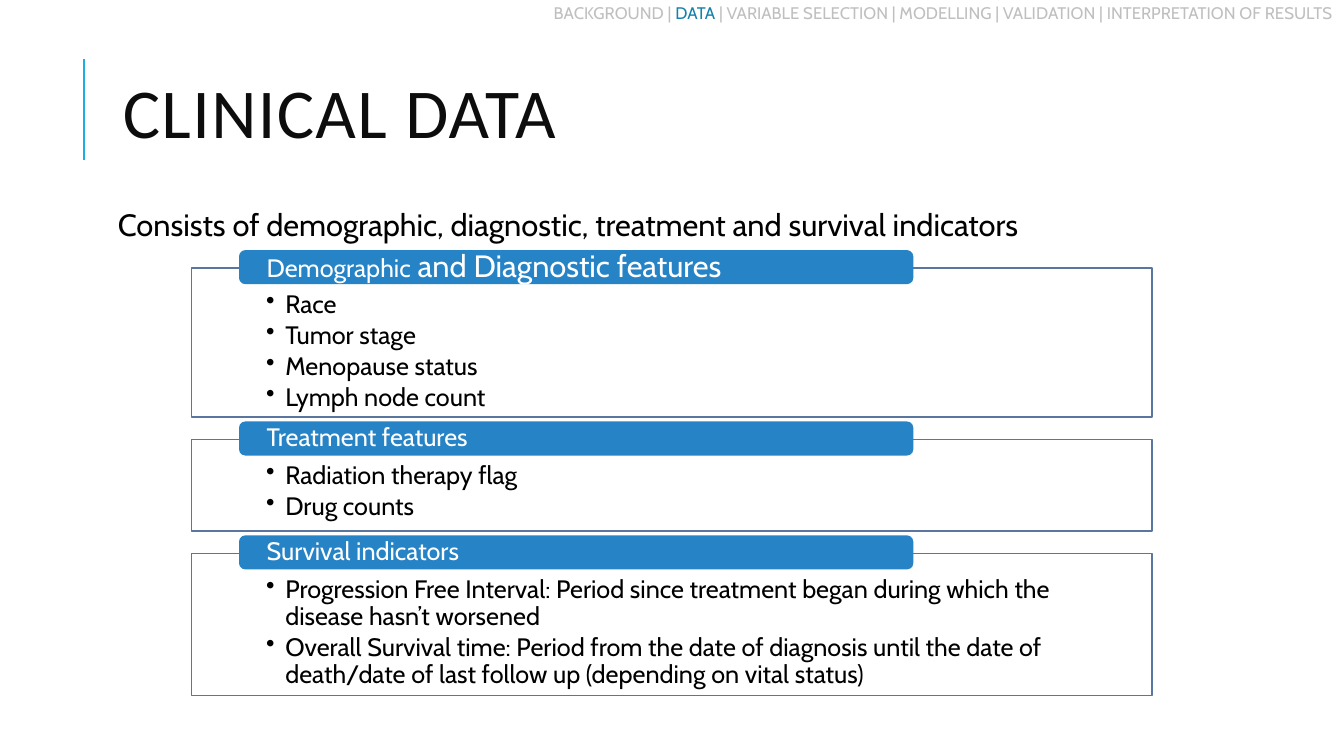
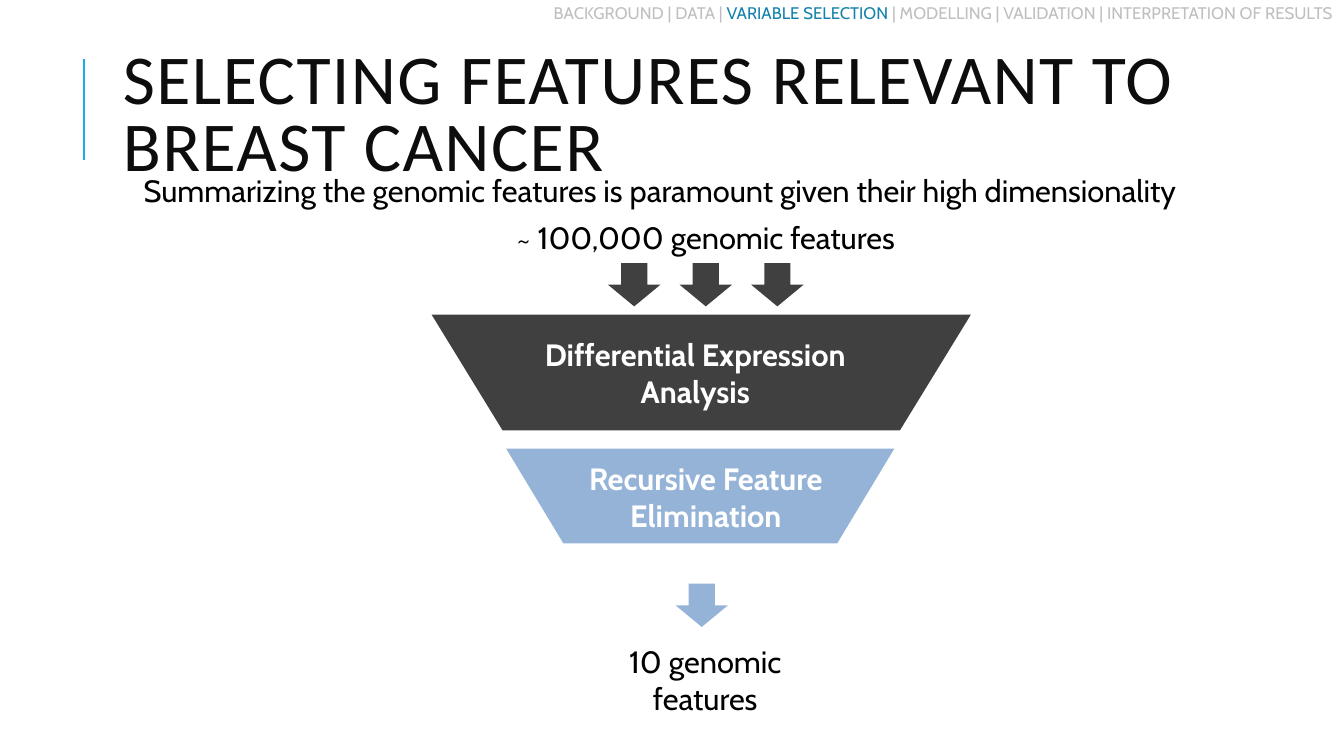
from dataclasses import dataclass

from lxml.etree import SubElement
from pptx import Presentation
from pptx.dml.color import RGBColor
from pptx.enum.shapes import MSO_CONNECTOR, MSO_SHAPE as Shape
from pptx.enum.text import MSO_ANCHOR as Anchor, PP_ALIGN as Align
from pptx.oxml.ns import qn
from pptx.util import Pt

PX = 9144  # 100 px to the inch


@dataclass(frozen=True)
class Theme:
    heading_font: str = "Calibri"
    body_font: str = "Cabin"
    title: str = "0D0D0D"
    text: str = "000000"
    white: str = "FFFFFF"
    accent: str = "1CADE4"
    muted: str = "BFBFBF"
    active: str = "1482AC"
    tab: str = "2683C6"
    frame: str = "5A769E"
    dark: str = "404040"
    light: str = "95B3D7"
    title_size: int = 50
    lead_size: int = 22
    body_size: int = 18
    nav_size: int = 12


THEME = Theme()

SECTIONS = ["BACKGROUND", "DATA", "VARIABLE SELECTION", "MODELLING",
            "VALIDATION", "INTERPRETATION OF RESULTS"]

CLINICAL = {
    "title": "CLINICAL DATA",
    "section": "DATA",
    "lead": "Consists of demographic, diagnostic, treatment and survival indicators",
}
# Heading runs (text, size), height of the frame, bullets
FEATURE_GROUPS = [
    ([("Demographic", THEME.body_size), (" and Diagnostic features", THEME.lead_size)], 148,
     ["Race", "Tumor stage", "Menopause status", "Lymph node count"]),
    ([("Treatment features", THEME.body_size)], 91,
     ["Radiation therapy flag", "Drug counts"]),
    ([("Survival indicators", THEME.body_size)], 141,
     ["Progression Free Interval: Period since treatment began during which the "
      "disease hasn’t worsened",
      "Overall Survival time: Period from the date of diagnosis until the date of "
      "death/date of last follow up (depending on vital status)"]),
]

SELECTION = {
    "title": "SELECTING FEATURES RELEVANT TO BREAST CANCER",
    "section": "VARIABLE SELECTION",
    "lead": "Summarizing the genomic features is paramount given their high dimensionality",
}
# Box, slant, colour
FUNNEL = [((428, 312, 535, 115), 0.613, THEME.dark),
          ((502, 445, 385, 94), 0.603, THEME.light)]
# Text, box, colour, bold
FUNNEL_LABELS = [
    ("Differential Expression Analysis", (474, 328, 431, 84), THEME.white, True),
    ("Recursive Feature Elimination", (554, 451, 292, 84), THEME.white, True),
    ("~ 100,000 genomic features", (476, 212, 448, 47), THEME.text, False),
    ("10 genomic features", (561, 633, 277, 84), THEME.text, False),
]
ARROW_SIZE = (52, 43)
ARROWS = [(603 + 71 * i, 261, THEME.dark) for i in range(3)] + [(670, 579, THEME.light)]


def emu(*lengths):
    return [length * PX for length in lengths]


def write(shape, paragraphs, *, size=THEME.lead_size, color=THEME.text, font=THEME.body_font,
          bold=False, align=Align.LEFT, anchor=Anchor.TOP, margins=(10, 5, 10, 5),
          line_spacing=None, space_after=None, tracking=None, bullet_indent=None):
    """Fill a shape with paragraphs: strings, or lists of (text, run overrides)."""
    frame = shape.text_frame
    frame.word_wrap = True
    frame.vertical_anchor = anchor
    (frame.margin_left, frame.margin_top,
     frame.margin_right, frame.margin_bottom) = emu(*margins)
    for index, runs in enumerate(paragraphs):
        paragraph = frame.add_paragraph() if index else frame.paragraphs[0]
        paragraph.alignment = align
        paragraph.line_spacing = line_spacing
        if space_after is not None:
            paragraph.space_after = Pt(space_after)
        if bullet_indent:
            properties = paragraph._p.get_or_add_pPr()
            properties.set("marL", str(bullet_indent * PX))
            properties.set("indent", str(-bullet_indent * PX))
            SubElement(properties, qn("a:buChar"), char="•")
        for text, override in [(runs, {})] if isinstance(runs, str) else runs:
            run = paragraph.add_run()
            run.text = text
            run.font.name = font
            run.font.size = Pt(override.get("size", size))
            run.font.bold = bold
            run.font.color.rgb = RGBColor.from_string(override.get("color", color))
            if tracking:
                run._r.get_or_add_rPr().set("spc", str(tracking * 100))


def add_text(slide, box, paragraphs, **style):
    write(slide.shapes.add_textbox(*emu(*box)), paragraphs, **style)


def add_block(slide, kind, box, fill, line=None):
    shape = slide.shapes.add_shape(kind, *emu(*box))
    shape.shadow.inherit = False
    shape.fill.solid()
    shape.fill.fore_color.rgb = RGBColor.from_string(fill)
    if line:
        shape.line.color.rgb = RGBColor.from_string(line)
        shape.line.width = Pt(1.25)
    else:
        shape.line.fill.background()
    return shape


def add_base_slide(presentation, content, title_width, lead_box, lead_align):
    """Add a slide with the accent rule, title, lead sentence and section trail."""
    slide = presentation.slides.add_slide(presentation.slide_layouts[6])
    rule = slide.shapes.add_connector(MSO_CONNECTOR.STRAIGHT, *emu(83, 159, 83, 59))
    rule.line.color.rgb = RGBColor.from_string(THEME.accent)
    rule.line.width = Pt(1.5)
    SubElement(rule._element.spPr, qn("a:effectLst"))
    add_text(slide, (112, 35, title_width, 164), [content["title"]], size=THEME.title_size,
             color=THEME.title, font=THEME.heading_font, anchor=Anchor.MIDDLE,
             line_spacing=0.8, tracking=1)
    add_text(slide, lead_box, [content["lead"]], align=lead_align, margins=(5, 5, 5, 5),
             line_spacing=0.9)
    trail = []
    for section in SECTIONS:
        if trail:
            trail.append((" | ", {}))
        active = section == content["section"]
        trail.append((section, {"color": THEME.active} if active else {}))
    add_text(slide, (537, 1, 795, 24), [trail], size=THEME.nav_size, color=THEME.muted,
             align=Align.RIGHT, anchor=Anchor.MIDDLE)
    return slide


def build_clinical(presentation):
    slide = add_base_slide(presentation, CLINICAL, 1063, (112, 203, 1109, 71), Align.JUSTIFY)
    top, gap = 266, 22
    for heading, height, bullets in FEATURE_GROUPS:
        frame = add_block(slide, Shape.RECTANGLE, (190, top, 953, height),
                          THEME.white, THEME.frame)
        write(frame, bullets, size=THEME.body_size, margins=(74, 23, 74, 14),
              line_spacing=0.9, space_after=2.7, bullet_indent=19)
        tab = add_block(slide, Shape.ROUNDED_RECTANGLE, (238, top - 17, 667, 32),
                        THEME.tab, THEME.tab)
        write(tab, [[(text, {"size": size}) for text, size in heading]], color=THEME.white,
              anchor=Anchor.MIDDLE, margins=(25, 0, 25, 0), line_spacing=0.9)
        top += height + gap


def build_selection(presentation):
    slide = add_base_slide(presentation, SELECTION, 1132, (40, 170, 1229, 107), Align.CENTER)
    for box, slant, color in FUNNEL:
        stage = add_block(slide, Shape.TRAPEZOID, box, color)
        stage.rotation = 180
        stage.adjustments[0] = slant
    for text, box, color, bold in FUNNEL_LABELS:
        add_text(slide, box, [text], color=color, bold=bold, align=Align.CENTER)
    for left, top, color in ARROWS:
        add_block(slide, Shape.DOWN_ARROW, (left, top, *ARROW_SIZE), color)


def main():
    presentation = Presentation()
    presentation.slide_width, presentation.slide_height = emu(1333, 750)
    build_clinical(presentation)
    build_selection(presentation)
    presentation.save("out.pptx")


if __name__ == "__main__":
    main()
